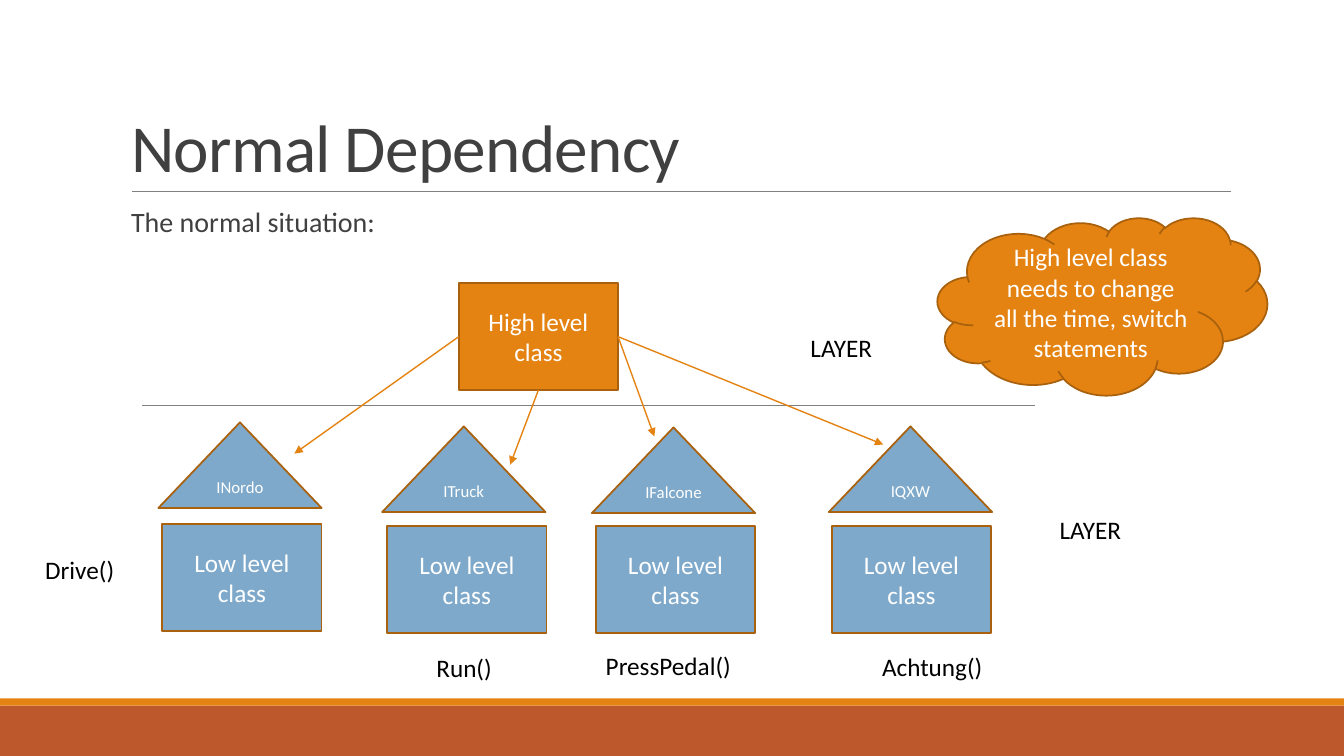
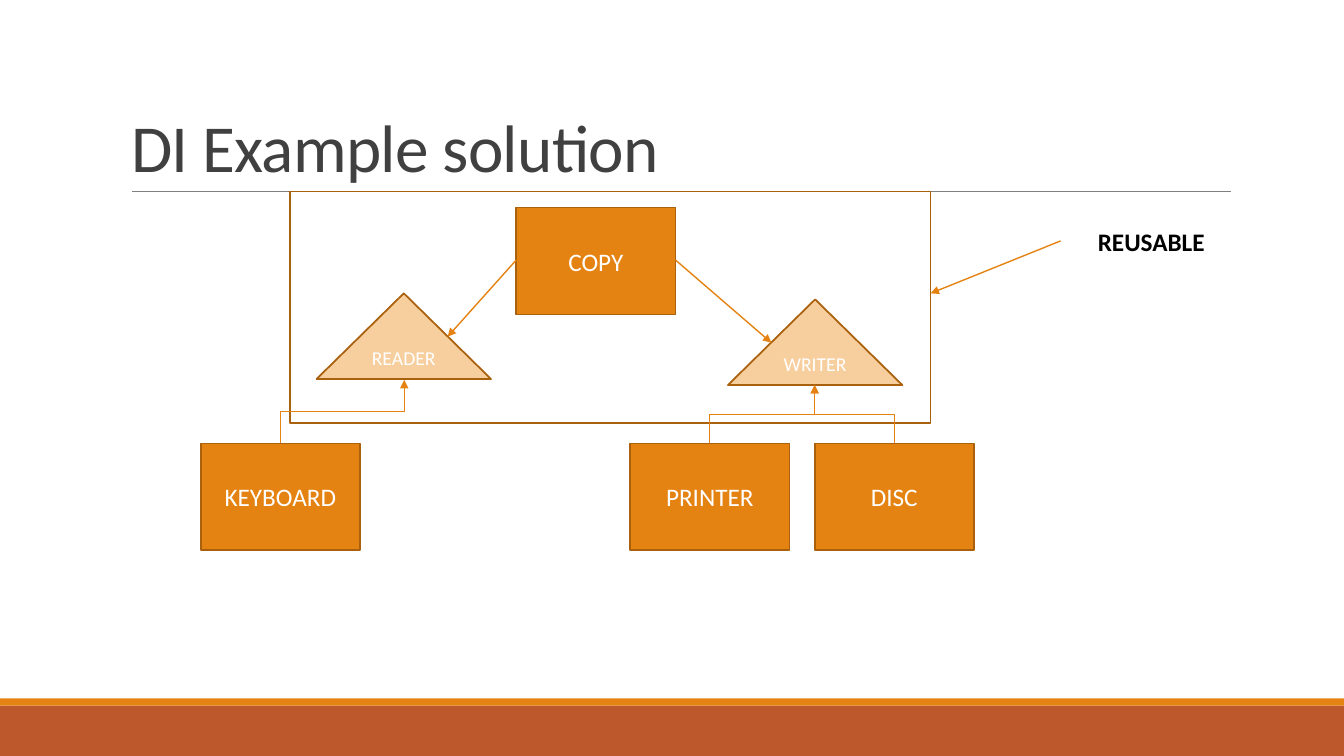
"""Build two slides on dependency inversion: the normal situation and a solution."""
from lxml.etree import SubElement
from pptx import Presentation
from pptx.dml.color import RGBColor
from pptx.enum.shapes import MSO_CONNECTOR, MSO_SHAPE
from pptx.enum.text import MSO_ANCHOR, MSO_AUTO_SIZE, PP_ALIGN
from pptx.oxml.ns import qn
from pptx.util import Inches, Pt

ORANGE = RGBColor(0xE4, 0x83, 0x12)
RUST = RGBColor(0xBD, 0x58, 0x2C)
BROWN = RGBColor(0xA9, 0x61, 0x0D)
BLUE = RGBColor(0x7E, 0xA9, 0xCA)
PEACH = RGBColor(0xF7, 0xCE, 0x9D)
GREY = RGBColor(0x80, 0x80, 0x80)
DARK = RGBColor(0x40, 0x40, 0x40)
WHITE = RGBColor(0xFF, 0xFF, 0xFF)
BLACK = RGBColor(0, 0, 0)
FONT = "Calibri"
COLS, ROWS = 13.33, 7.5
BOX_W, BOX_H = 1.58, 1.06
ROOF_H = 0.85
LABEL_H = 0.4
RECT, ROOF = MSO_SHAPE.RECTANGLE, MSO_SHAPE.ISOSCELES_TRIANGLE


def add(s, kind, at, text="", size=18, fill=None, line=BROWN, bold=False):
    """Add a preset shape, or a plain label when kind is None."""
    at = [Inches(v) for v in at]
    if kind is None:
        sp = s.shapes.add_textbox(*at)
        sp.text_frame.word_wrap = False
        sp.text_frame.auto_size = MSO_AUTO_SIZE.SHAPE_TO_FIT_TEXT
    else:
        sp = s.shapes.add_shape(kind, *at)
        sp.shadow.inherit = False
        if fill is None:
            sp.fill.background()
        else:
            sp.fill.solid()
            sp.fill.fore_color.rgb = fill
        if line is None:
            sp.line.fill.background()
        else:
            sp.line.color.rgb = line
            sp.line.width = Pt(1.25)
        sp.text_frame.vertical_anchor = MSO_ANCHOR.MIDDLE
    if text:
        p = sp.text_frame.paragraphs[0]
        p.text = text
        p.alignment = PP_ALIGN.LEFT if kind is None else PP_ALIGN.CENTER
        p.font.name, p.font.size, p.font.bold = FONT, Pt(size), bold
        p.font.color.rgb = BLACK if kind is None else WHITE


def wire(s, ends, kind=MSO_CONNECTOR.STRAIGHT, color=ORANGE, width=1, arrow=True, turn=0):
    """Add a line or arrow, turned by the given degrees."""
    c = s.shapes.add_connector(kind, *[Inches(v) for v in ends])
    c.line.color.rgb = color
    c.line.width = Pt(width)
    pr = c.element.spPr
    if turn:
        pr.find(qn("a:xfrm")).set("rot", str(turn * 60000))
    if arrow:
        SubElement(pr.find(qn("a:ln")), qn("a:tailEnd"), type="triangle")
    SubElement(pr, qn("a:effectLst"))


prs = Presentation()
prs.slide_width, prs.slide_height = Inches(COLS), Inches(ROWS)
normal = prs.slides.add_slide(prs.slide_layouts[1])
solution = prs.slides.add_slide(prs.slide_layouts[5])

for s, title in ((normal, "Normal Dependency"), (solution, "DI Example solution")):
    add(s, RECT, (0, 7, COLS, 0.5), fill=RUST, line=None)
    add(s, RECT, (0, 6.93, COLS, 0.07), fill=ORANGE, line=None)
    wire(s, (1.31, 1.9, 12.21, 1.9), color=GREY, width=0.5, arrow=False)
    sp = s.shapes.title
    sp.left, sp.top, sp.width, sp.height = [Inches(v) for v in (1.2, 0.31, 11, 1.59)]
    tf = sp.text_frame
    tf.auto_size = MSO_AUTO_SIZE.NONE
    tf.vertical_anchor = MSO_ANCHOR.BOTTOM
    p = tf.paragraphs[0]
    p.text = title
    p.alignment = PP_ALIGN.LEFT
    p.line_spacing = 0.85
    p.font.name, p.font.size = FONT, Pt(48)
    p.font.color.rgb = DARK
    for props in sp.element.iter(qn("a:defRPr")):
        props.set("spc", "-50")

sp = normal.placeholders[1]
sp.left, sp.top, sp.width, sp.height = [Inches(v) for v in (1.2, 2.02, 2.62, 0.47)]
tf = sp.text_frame
tf.auto_size = MSO_AUTO_SIZE.NONE
tf.margin_left = tf.margin_right = 0
p = tf.paragraphs[0]
p.text = "The normal situation:"
p.line_spacing = 0.9
p.space_before, p.space_after = Pt(12), Pt(2)
for props in sp.element.iter(qn("a:pPr")):
    props.set("marL", str(Inches(0.1)))
    props.set("indent", "0")
    SubElement(props, qn("a:buNone"))
p.font.name, p.font.size = FONT, Pt(20)
p.font.color.rgb = DARK

add(normal, RECT, (4.55, 2.81, BOX_W, BOX_H), "High level class", fill=ORANGE)
wire(normal, (1.41, 4.02, 10.27, 4.02), color=GREY, width=0.5, arrow=False)
for name, roof_x, roof_y, box_x, box_y in (
    ("INordo", 1.57, 4.19, 1.61, 5.2),
    ("ITruck", 3.79, 4.23, 3.84, 5.22),
    ("IFalcone", 5.87, 4.24, 5.91, 5.22),
    ("IQXW", 8.22, 4.23, 8.25, 5.22),
):
    add(normal, RECT, (box_x, box_y, BOX_W, BOX_H), "Low level class", fill=BLUE)
    add(normal, ROOF, (roof_x, roof_y, 1.62, ROOF_H), name, 12, BLUE)
for ends in (
    (4.55, 3.34, 2.92, 4.5),
    (5.34, 3.87, 5.06, 4.61),
    (6.13, 3.34, 6.49, 4.33),
    (6.13, 3.34, 8.76, 4.41),
):
    wire(normal, ends)
add(normal, MSO_SHAPE.CLOUD, (9.3, 2.16, 3.27, 1.76),
    "High level class needs to change all the time, switch statements", fill=ORANGE)
for text, x, y, w in (
    ("LAYER", 7.94, 3.25, 0.82),
    ("LAYER", 10.41, 5.05, 0.82),
    ("Drive()", 0.35, 5.45, 0.9),
    ("Run()", 4.23, 6.42, 0.76),
    ("PressPedal()", 5.91, 6.4, 1.46),
    ("Achtung()", 8.65, 6.41, 1.21),
):
    add(normal, None, (x, y, w, LABEL_H), text)

for name, x, y in (
    ("COPY", 5.12, 2.06),
    ("KEYBOARD", 1.99, 4.4),
    ("PRINTER", 6.25, 4.4),
    ("DISC", 8.08, 4.4),
):
    add(solution, RECT, (x, y, BOX_W, BOX_H), name, fill=ORANGE)
for name, x, y in (("READER", 3.14, 2.91), ("WRITER", 7.22, 2.97)):
    add(solution, ROOF, (x, y, 1.73, ROOF_H), name, 14, PEACH)
add(solution, RECT, (2.88, 1.9, 6.35, 2.3))
for ends in (
    (5.12, 2.58, 4.44, 3.34),
    (6.7, 2.58, 7.65, 3.4),
    (10.52, 2.39, 9.23, 2.91),
):
    wire(solution, ends)
for x1, x2, y2 in ((7.04, 8.08, 3.82), (8.87, 8.08, 3.82), (2.78, 4.01, 3.77)):
    y1 = 4.4
    mid_x, mid_y = (x1 + x2) / 2, (y1 + y2) / 2
    side = 1 if x1 < x2 else -1
    dx, dy = side * (y1 - y2) / 2, abs(x2 - x1) / 2
    wire(solution, (mid_x + dx, mid_y + dy, mid_x - dx, mid_y - dy),
         MSO_CONNECTOR.ELBOW, turn=90 if side > 0 else 270)
add(solution, None, (10.79, 2.2, 1.27, LABEL_H), "REUSABLE", bold=True)

prs.save("out.pptx")
